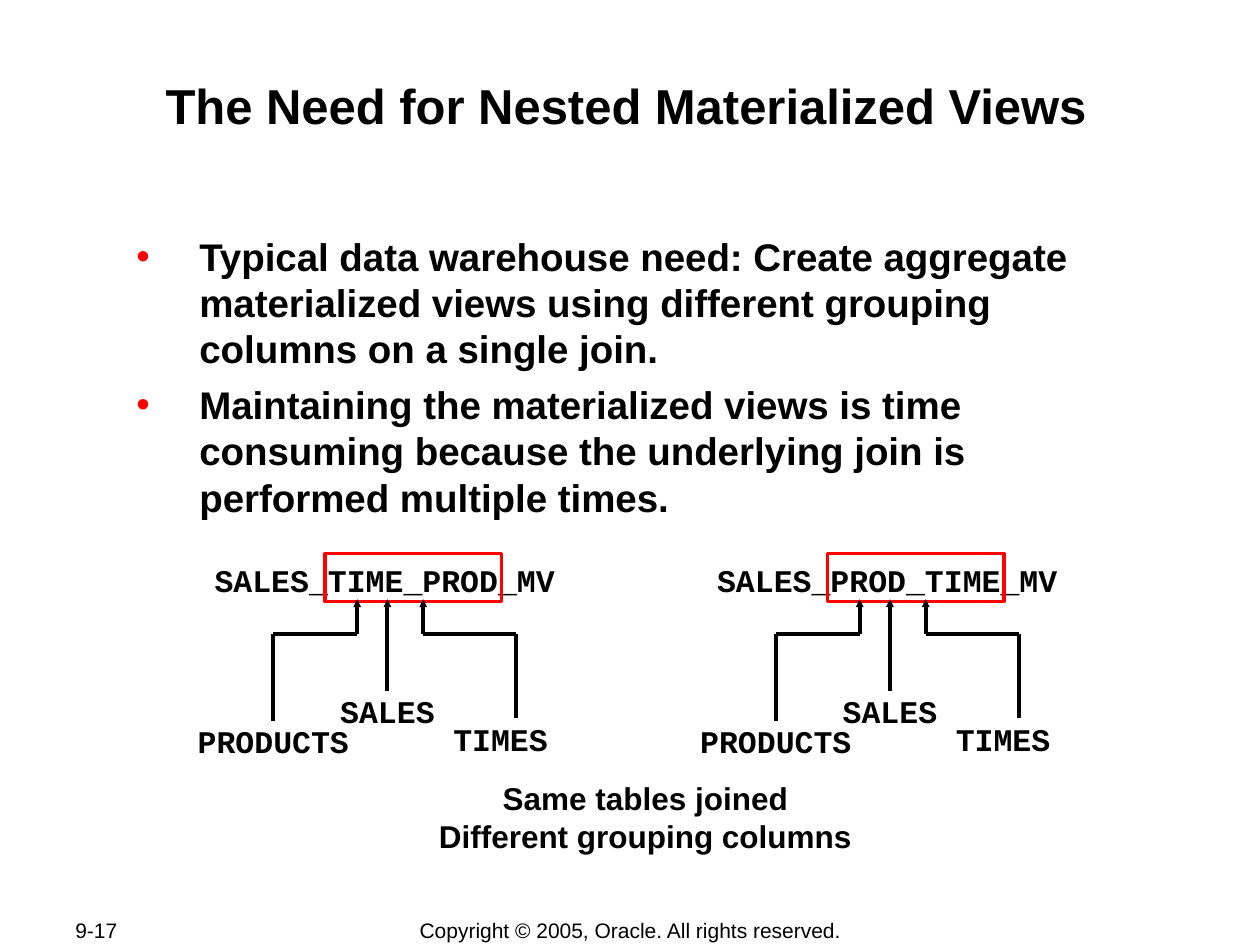
from dataclasses import dataclass
from itertools import pairwise

from lxml.etree import SubElement
from pptx import Presentation
from pptx.dml.color import RGBColor
from pptx.enum.shapes import MSO_CONNECTOR as CONN, MSO_SHAPE as SHAPE
from pptx.enum.text import MSO_ANCHOR as ANCHOR, PP_ALIGN as ALIGN
from pptx.oxml.ns import qn
from pptx.util import Cm, Pt


@dataclass(frozen=True)
class Theme:
    ink: RGBColor = RGBColor(0, 0, 0)
    accent: RGBColor = RGBColor(255, 0, 0)
    sans: str = "Arial"
    mono: str = "Courier New"
    title: int = 28
    body: int = 22
    label: int = 18
    footer: int = 12


T = Theme()

BULLETS = (
    "Typical data warehouse need: Create aggregate materialized views "
    "using different grouping columns on a single join.",
    "Maintaining the materialized views is time consuming because the "
    "underlying join is performed multiple times.",
)
VIEWS = ("SALES_TIME_PROD_MV", "SALES_PROD_TIME_MV")
VIEW_LEFT, VIEW_STEP = 3.95, 10.13
BEND_Y, TIP_Y = 12.78, 12.08


def apply(target, **values):
    for name, value in values.items():
        setattr(target, name, value)


def fill_text(sp, lines, size, font=T.sans, bold=True, align=ALIGN.CENTER,
              anchor=ANCHOR.TOP, wrap=True, pads=(0.03, 0.03)):
    """Write one paragraph per line; pads are side and top insets in cm."""
    tf = sp.text_frame
    side, top = map(Cm, pads)
    apply(tf, word_wrap=wrap, vertical_anchor=anchor, margin_left=side,
          margin_right=side, margin_top=top, margin_bottom=Cm(0))
    for i, line in enumerate(lines):
        p = tf.add_paragraph() if i else tf.paragraphs[0]
        p.alignment = align
        r = p.add_run()
        r.text = line
        apply(r.font, name=font, size=Pt(size), bold=bold)
        r.font.color.rgb = T.ink
    return sp


def add_text(s, box, lines, size, **fmt):
    return fill_text(s.shapes.add_textbox(*map(Cm, box)), lines, size, **fmt)


def add_label(s, left, top, width, text):
    return add_text(s, (left, top, width, 0.84), [text], T.label,
                    font=T.mono, wrap=False)


def add_bullets(s, box, lines):
    sp = add_text(s, box, lines, T.body, align=ALIGN.LEFT, pads=(0.03, 0.05))
    for i, p in enumerate(sp.text_frame.paragraphs):
        if i:
            p.space_before = Pt(5.5)
        pPr = p._p.get_or_add_pPr()
        pPr.set("marL", str(Cm(1.6)))
        pPr.set("indent", str(Cm(-1.27)))
        color = SubElement(pPr, qn("a:buClr"))
        SubElement(color, qn("a:srgbClr"), val=str(T.accent))
        SubElement(pPr, qn("a:buFont"), typeface=T.sans)
        SubElement(pPr, qn("a:buChar"), char="•")


def add_frame(s, box):
    sp = s.shapes.add_shape(SHAPE.RECTANGLE, *map(Cm, box))
    sp.shadow.inherit = False
    sp.fill.background()
    sp.line.color.rgb = T.accent
    sp.line.width = Pt(2)


def add_wire(s, points, source=None):
    """Chain straight segments through points, with an arrowhead at the end."""
    for start, end in pairwise(points):
        c = s.shapes.add_connector(CONN.STRAIGHT, *map(Cm, (*start, *end)))
        c.line.color.rgb = T.ink
        c.line.width = Pt(2.25)
        SubElement(c._element.spPr, qn("a:effectLst"))
        if source is not None and start == points[0]:
            c.begin_connect(source, 0)
    SubElement(c.line._get_or_add_ln(), qn("a:tailEnd"),
               type="triangle", w="sm", len="sm")


def add_view(s, left, name):
    # View name, with its grouping columns framed
    add_label(s, left + 0.34, 11.28, 6.93, name)
    add_frame(s, (left + 2.6, 11.16, 3.56, 0.97))

    # Source tables
    products = add_label(s, left, 14.53, 3.12, "PRODUCTS")
    sales = add_label(s, left + 2.87, 13.92, 1.98, "SALES")
    add_label(s, left + 5.15, 14.48, 1.98, "TIMES")

    # Joins running up to the view
    x_products, x_sales, x_times = left + 1.56, left + 3.86, left + 6.46
    for x, y, tip, source in (
        (x_products, 14.53, left + 3.25, products),
        (x_times, 14.48, left + 4.58, None),
    ):
        add_wire(s, [(x, y), (x, BEND_Y), (tip, BEND_Y), (tip, TIP_Y)], source)
    add_wire(s, [(x_sales, 13.92), (x_sales, TIP_Y)], sales)


def main():
    prs = Presentation()
    prs.slide_width, prs.slide_height = Cm(25.4), Cm(19.05)
    s = prs.slides.add_slide(prs.slide_layouts[5])

    # Title and bullets
    title = s.shapes.title
    apply(title, left=Cm(2.46), top=Cm(1.47), width=Cm(20.32), height=Cm(2.44))
    fill_text(title, ["The Need for Nested Materialized Views"], T.title,
              pads=(0.03, 0.05))
    add_bullets(s, (2.39, 4.65, 20.47, 5.84), BULLETS)

    # Two views built on the same join
    for i, name in enumerate(VIEWS):
        add_view(s, VIEW_LEFT + i * VIEW_STEP, name)
    add_text(s, (8.59, 15.57, 8.84, 1.78),
             ["Same tables joined", "Different grouping columns"],
             T.label, wrap=False, pads=(0.25, 0.13))

    # Footer
    footer = dict(bold=False, anchor=ANCHOR.MIDDLE, pads=(0.25, 0))
    add_text(s, (1.27, 18.49, 2.69, 0.52), ["9-17"], T.footer,
             align=ALIGN.LEFT, **footer)
    add_text(s, (7.01, 18.49, 11.4, 0.52),
             ["Copyright © 2005, Oracle. All rights reserved."],
             T.footer, **footer)

    prs.save("out.pptx")


if __name__ == "__main__":
    main()
